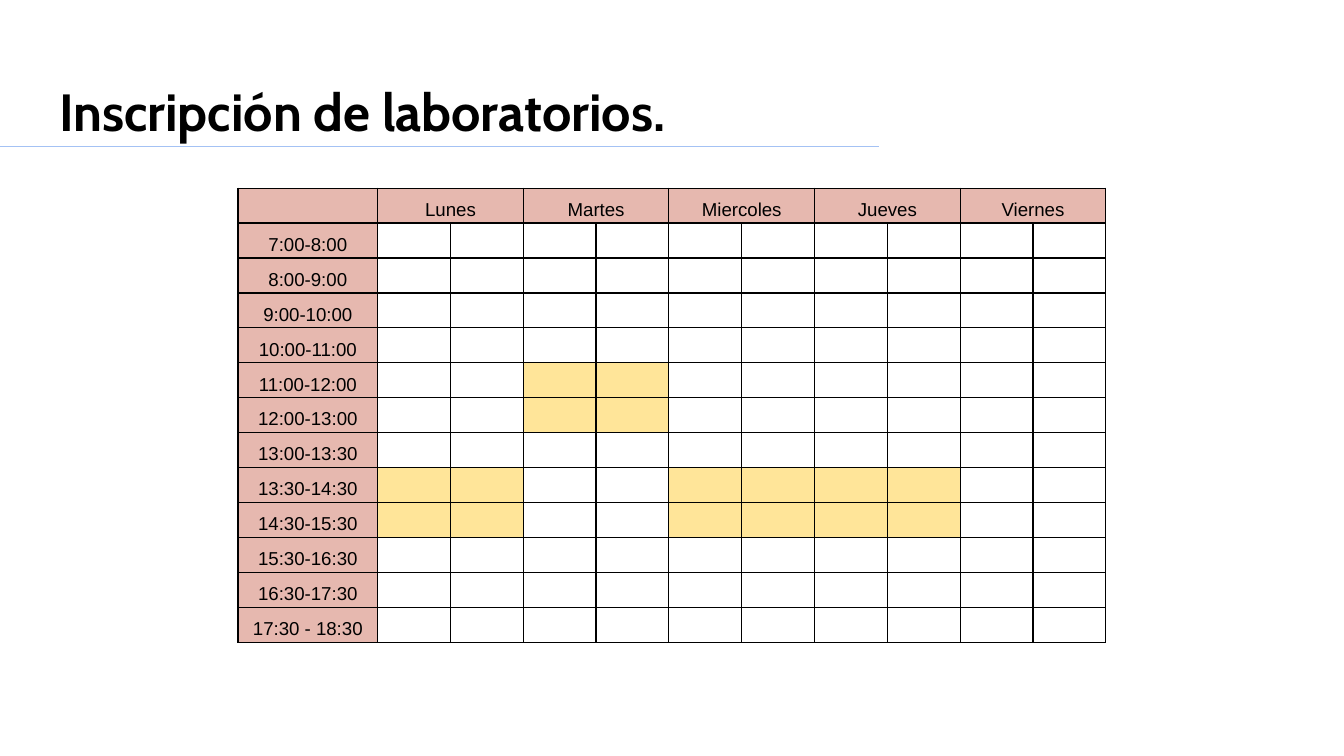
import pptx
import pptx.dml.color
import pptx.enum.shapes
import pptx.enum.text
import pptx.oxml
import pptx.oxml.ns
import pptx.util
from lxml import etree
from pptx.util import Inches

HEADER_FILL = "E6B8AF"
LAB_FILL = "FFE599"
DAYS = ["Lunes", "Martes", "Miercoles", "Jueves", "Viernes"]
HOURS = [
    "7:00-8:00", "8:00-9:00", "9:00-10:00", "10:00-11:00",
    "11:00-12:00", "12:00-13:00", "13:00-13:30", "13:30-14:30",
    "14:30-15:30", "15:30-16:30", "16:30-17:30", "17:30 - 18:30",
]
LAB_HOURS = {
    "Lunes": ["13:30-14:30", "14:30-15:30"],
    "Martes": ["11:00-12:00", "12:00-13:00"],
    "Miercoles": ["13:30-14:30", "14:30-15:30"],
    "Jueves": ["13:30-14:30", "14:30-15:30"],
    "Viernes": [],
}


def color(hex_string):
    return pptx.dml.color.RGBColor.from_string(hex_string)


def format_cell(cell, text, fill):
    """Write the text and set borders, margins, font and fill (None for no fill)."""
    properties = cell._tc.get_or_add_tcPr()
    for side in ("lnL", "lnR", "lnT", "lnB"):
        properties.append(pptx.oxml.parse_xml(
            f'<a:{side} {pptx.oxml.ns.nsdecls("a")} w="9525"><a:solidFill>'
            f'<a:srgbClr val="000000"/></a:solidFill></a:{side}>'))
    if fill:
        cell.fill.solid()
        cell.fill.fore_color.rgb = color(fill)
    else:
        cell.fill.background()
    cell.margin_left = cell.margin_right = Inches(0.03)
    cell.margin_top = cell.margin_bottom = Inches(0.02)
    cell.vertical_anchor = pptx.enum.text.MSO_ANCHOR.BOTTOM
    paragraph = cell.text_frame.paragraphs[0]
    paragraph.alignment = pptx.enum.text.PP_ALIGN.CENTER
    paragraph.line_spacing = 1.15
    paragraph.font.size = pptx.util.Pt(10)
    paragraph.font.name = "Arial"
    paragraph.font.color.rgb = color("000000")
    if text:
        paragraph.add_run().text = text
    else:
        # The end mark keeps an empty row from growing to the default size
        etree.SubElement(paragraph._p, pptx.oxml.ns.qn("a:endParaRPr"), sz="1000")


# A 16:9 slide
presentation = pptx.Presentation()
presentation.slide_width = Inches(10)
presentation.slide_height = Inches(10) * 9 // 16
slide = presentation.slides.add_slide(presentation.slide_layouts[5])

# Title and the rule below it
title = slide.shapes.title
title.left, title.top = Inches(0.34), Inches(0.49)
title.width, title.height = Inches(9.32), Inches(0.63)
frame = title.text_frame
frame.text = "Inscripción de laboratorios."
frame.auto_size = pptx.enum.text.MSO_AUTO_SIZE.NONE
frame.vertical_anchor = pptx.enum.text.MSO_ANCHOR.TOP
frame.margin_left = frame.margin_right = Inches(0.1)
frame.margin_top = frame.margin_bottom = Inches(0.1)
paragraph = frame.paragraphs[0]
paragraph.alignment = pptx.enum.text.PP_ALIGN.LEFT
paragraph.font.name = "Cabin"
paragraph.font.size = pptx.util.Pt(28)
paragraph.font.bold = True
paragraph.font.color.rgb = color("000000")

rule = slide.shapes.add_connector(
    pptx.enum.shapes.MSO_CONNECTOR.STRAIGHT,
    Inches(0), Inches(1.09), Inches(6.54), Inches(1.09))
rule.line.color.rgb = color("A4C2F4")
rule.line.width = pptx.util.Pt(0.75)
etree.SubElement(rule._element.spPr, pptx.oxml.ns.qn("a:effectLst"))

# Timetable: one column of hours, then two half columns for each day
row_count, column_count = len(HOURS) + 1, 2 * len(DAYS) + 1
table = slide.shapes.add_table(
    row_count, column_count,
    Inches(1.77), Inches(1.4), Inches(6.46), Inches(0.26) * row_count).table
table.first_row = table.horz_banding = False
for row in table.rows:
    row.height = Inches(0.26)
for column in table.columns:
    column.width = Inches(5.42) // (2 * len(DAYS))
table.columns[0].width = Inches(1.04)

format_cell(table.cell(0, 0), "", HEADER_FILL)
for row, hour in enumerate(HOURS, start=1):
    format_cell(table.cell(row, 0), hour, HEADER_FILL)

for day_index, day in enumerate(DAYS):
    first = 2 * day_index + 1
    table.cell(0, first).merge(table.cell(0, first + 1))
    for column in (first, first + 1):
        format_cell(table.cell(0, column), day if column == first else "", HEADER_FILL)
        for row, hour in enumerate(HOURS, start=1):
            fill = LAB_FILL if hour in LAB_HOURS[day] else None
            format_cell(table.cell(row, column), "", fill)

presentation.save("out.pptx")
